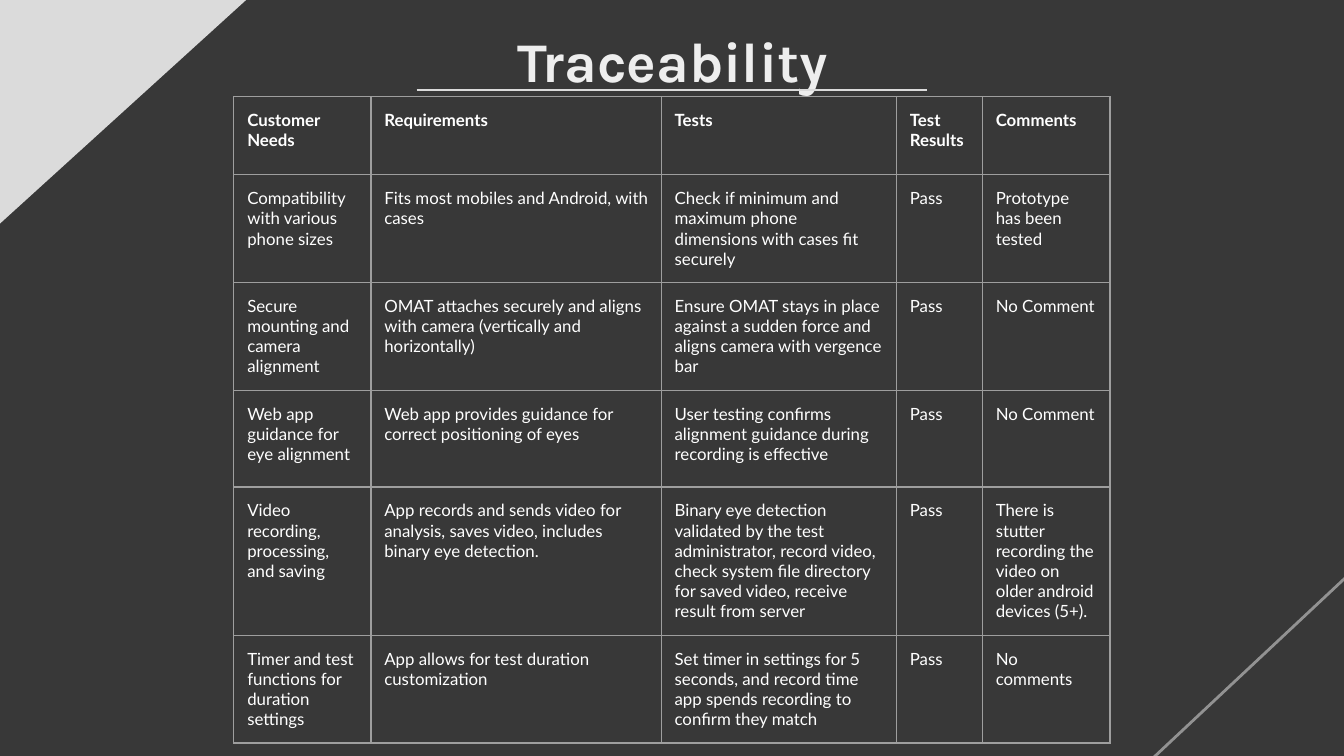
from lxml import etree
from pptx import Presentation
from pptx.dml.color import RGBColor
from pptx.enum import shapes, text
from pptx.oxml import ns
from pptx.util import Inches, Pt

CHARCOAL = RGBColor(0x38, 0x38, 0x38)
SILVER = RGBColor(0xDB, 0xDB, 0xDB)
GREY = RGBColor(0x92, 0x92, 0x92)
TITLE_COLOR = RGBColor(0xEE, 0xEE, 0xEE)
WHITE = RGBColor(0xFF, 0xFF, 0xFF)
BORDER = RGBColor(0x9E, 0x9E, 0x9E)

MARGIN = Inches(0.1)
COLUMN_WIDTHS = [1.02, 2.16, 1.75, 0.64, 0.95]
ROW_HEIGHTS = [0.58, 0.73, 0.72, 0.72, 0.86, 0.72]
ROWS = [
    ["Customer Needs", "Requirements", "Tests", "Test Results", "Comments"],
    ["Compatibility with various phone sizes",
     "Fits most mobiles and Android, with cases",
     "Check if minimum and maximum phone dimensions with cases fit securely",
     "Pass", "Prototype has been tested"],
    ["Secure mounting and camera alignment",
     "OMAT attaches securely and aligns with camera (vertically and horizontally)",
     "Ensure OMAT stays in place against a sudden force and aligns camera "
     "with vergence bar",
     "Pass", "No Comment"],
    ["Web app guidance for eye alignment",
     "Web app provides guidance for correct positioning of eyes",
     "User testing confirms alignment guidance during recording is effective",
     "Pass", "No Comment"],
    ["Video recording, processing, and saving",
     "App records and sends video for analysis, saves video, includes binary "
     "eye detection.",
     "Binary eye detection validated by the test administrator, record video, "
     "check system file directory for saved video, receive result from server",
     "Pass",
     "There is stutter recording the video on older android devices (5+)."],
    ["Timer and test functions for duration settings",
     "App allows for test duration customization",
     "Set timer in settings for 5 seconds, and record time app spends recording "
     "to confirm they match",
     "Pass", "No comments"],
]


def set_font(paragraph, name, size, color, bold):
    font = paragraph.font
    font.name = name
    font.size = Pt(size)
    font.bold = bold
    font.color.rgb = color


def set_margins(holder):
    """Give a text frame or a table cell the same margin on all sides."""
    holder.margin_left = holder.margin_right = MARGIN
    holder.margin_top = holder.margin_bottom = MARGIN


def add_corner_triangle(page):
    corner = page.shapes.add_shape(
        shapes.MSO_SHAPE.RIGHT_TRIANGLE,
        Inches(-0.25), Inches(-0.39), Inches(2.51), Inches(2.28))
    corner.shadow.inherit = False
    corner.rotation = 180
    corner._element.spPr.xfrm.set("flipH", "1")
    corner.fill.solid()
    corner.fill.fore_color.rgb = SILVER
    corner.line.fill.background()


def add_outlined_triangle(page):
    outline = page.shapes.add_shape(
        shapes.MSO_SHAPE.ISOSCELES_TRIANGLE,
        Inches(7.64), Inches(3.77), Inches(5.87), Inches(2.75))
    outline.shadow.inherit = False
    outline.fill.background()
    outline.line.color.rgb = GREY
    outline.line.width = Pt(1.5)


def add_title(page, wording):
    box = page.shapes.add_textbox(
        Inches(0.98), Inches(0.1), Inches(8.05), Inches(0.58))
    frame = box.text_frame
    frame.word_wrap = True
    frame.vertical_anchor = text.MSO_ANCHOR.TOP
    set_margins(frame)
    frame.text = wording
    paragraph = frame.paragraphs[0]
    paragraph.alignment = text.PP_ALIGN.CENTER
    set_font(paragraph, "Karla", 30, TITLE_COLOR, True)


def add_title_rule(page):
    rule = page.shapes.add_connector(
        shapes.MSO_CONNECTOR.STRAIGHT,
        Inches(3.1), Inches(0.67), Inches(6.9), Inches(0.67))
    rule.line.color.rgb = SILVER
    rule.line.width = Pt(1.5)
    etree.SubElement(rule._element.spPr, ns.qn("a:effectLst"))


def add_borders(cell):
    properties = cell._tc.get_or_add_tcPr()
    for position, side in enumerate(("lnL", "lnR", "lnT", "lnB")):
        line = etree.Element(ns.qn(f"a:{side}"), w=str(Pt(0.75)))
        fill = etree.SubElement(line, ns.qn("a:solidFill"))
        etree.SubElement(fill, ns.qn("a:srgbClr"), val=str(BORDER))
        properties.insert(position, line)


def fill_cell(cell, wording, bold):
    cell.text = wording
    set_margins(cell)
    set_font(cell.text_frame.paragraphs[0], "Lato", 9, WHITE, bold)
    cell.fill.background()
    add_borders(cell)


def add_trace_table(page):
    table = page.shapes.add_table(
        len(ROWS), len(COLUMN_WIDTHS), Inches(1.74), Inches(0.72),
        Inches(sum(COLUMN_WIDTHS)), Inches(sum(ROW_HEIGHTS))).table
    table.first_row = table.horz_banding = False
    for column, width in zip(table.columns, COLUMN_WIDTHS):
        column.width = Inches(width)
    for row, height in zip(table.rows, ROW_HEIGHTS):
        row.height = Inches(height)
    for row_index, wordings in enumerate(ROWS):
        for column_index, wording in enumerate(wordings):
            fill_cell(table.cell(row_index, column_index), wording,
                      bold=row_index == 0)


def main():
    deck = Presentation()
    deck.slide_width = Inches(10)
    deck.slide_height = deck.slide_width * 9 // 16
    page = deck.slides.add_slide(deck.slide_layouts[6])
    page.background.fill.solid()
    page.background.fill.fore_color.rgb = CHARCOAL

    add_corner_triangle(page)
    add_outlined_triangle(page)
    add_title(page, "Traceability")
    add_title_rule(page)
    add_trace_table(page)
    deck.save("out.pptx")


if __name__ == "__main__":
    main()
